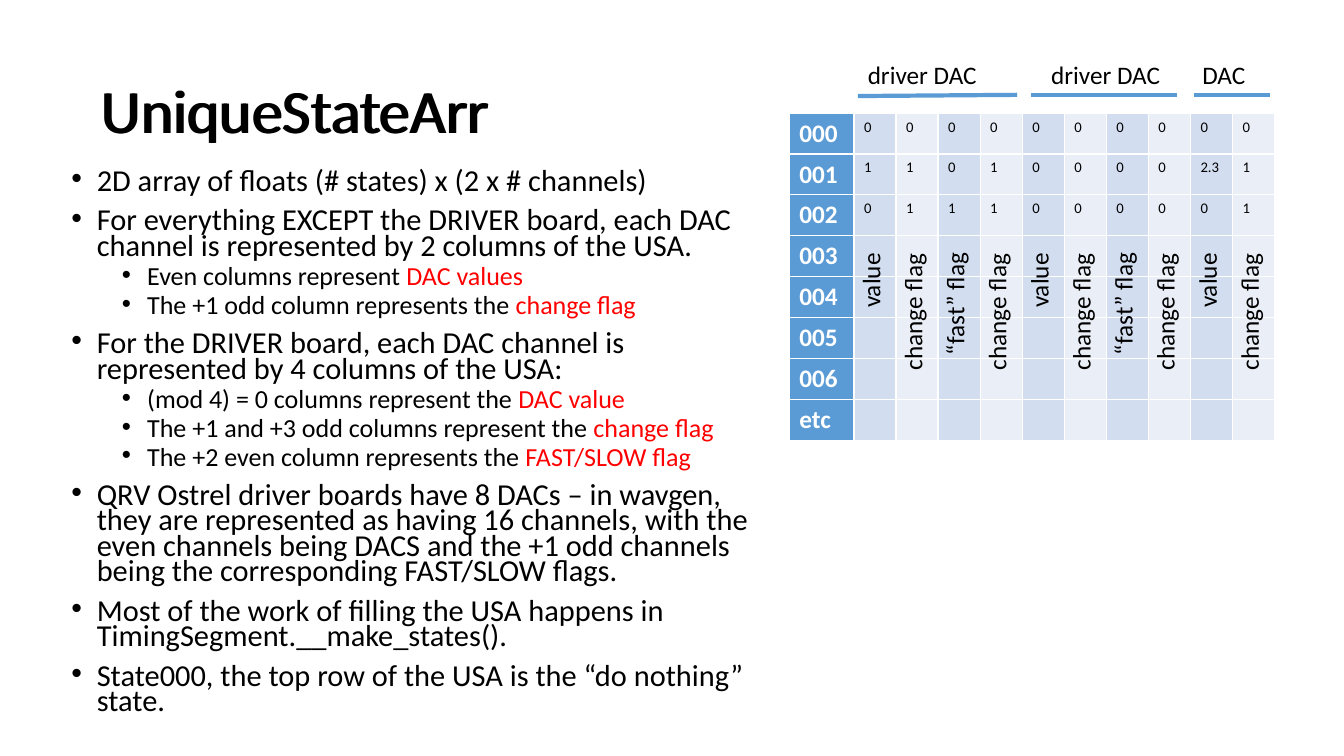
"""Build the UniqueStateArr slide with its bullet list and state table."""
from dataclasses import dataclass
from pptx import Presentation
from pptx.dml.color import RGBColor as RGB
from pptx.enum.shapes import MSO_CONNECTOR as Line
from pptx.enum.text import MSO_ANCHOR as Anchor
from pptx.oxml import parse_xml
from pptx.oxml.ns import nsdecls
from pptx.util import Cm, Pt


@dataclass(frozen=True)
class Theme:
    font: str = "Calibri"
    black: str = "000000"
    red: str = "FF0000"
    white: str = "FFFFFF"
    blue: str = "5B9BD5"
    bands: tuple = ("D2DEEF", "EAEFF7")
    title: float = 44
    levels: tuple = (21.7, 18.6)
    label: float = 18
    value: float = 10.5


theme = Theme()


def add_run(p, text, size, color=theme.black, bold=False):
    r = p.add_run()
    r.text = text
    r.font.name = theme.font
    r.font.size = Pt(size)
    r.font.bold = bold
    r.font.color.rgb = RGB.from_string(color)


def add_box(left, top, width, height, wrap=False):
    sp = s.shapes.add_textbox(Cm(left), Cm(top), Cm(width), Cm(height))
    sp.text_frame.word_wrap = wrap
    return sp


prs = Presentation()
prs.slide_width, prs.slide_height = Cm(33.87), Cm(19.05)
s = prs.slides.add_slide(prs.slide_layouts[6])

for left in (2.34, 2.29):
    tf = add_box(left, 1.01, 29.21, 3.68, wrap=True).text_frame
    tf.vertical_anchor = Anchor.MIDDLE
    p = tf.paragraphs[0]
    p.line_spacing = 0.9
    add_run(p, "UniqueStateArr", theme.title)

bullets = [
    (0, "2D array of floats (# states) x (2 x # channels)", ""),
    (0, "For everything EXCEPT the DRIVER board, each DAC channel is "
        "represented by 2 columns of the USA.", ""),
    (1, "Even columns represent ", "DAC values "),
    (1, "The +1 odd column represents the ", "change flag"),
    (0, "For the DRIVER board, each DAC channel is represented by "
        "4 columns of the USA:", ""),
    (1, "(mod 4) = 0 columns represent the ", "DAC value"),
    (1, "The +1 and +3 odd columns represent the ", "change flag"),
    (1, "The +2 even column represents the ", "FAST/SLOW flag"),
    (0, "QRV Ostrel driver boards have 8 DACs – in wavgen, they are "
        "represented as having 16 channels, with the even channels being "
        "DACS and the +1 odd channels being the corresponding "
        "FAST/SLOW flags.", ""),
    (0, "Most of the work of filling the USA happens in "
        "TimingSegment.__make_states().", ""),
    (0, "State000, the top row of the USA is the “do nothing” state. ", ""),
]
tf = add_box(1.55, 4.18, 17.78, 14.2, wrap=True).text_frame
for i, (level, text, keyword) in enumerate(bullets):
    p = tf.add_paragraph() if i else tf.paragraphs[0]
    p.level = level
    p.line_spacing = 0.7
    p.space_before = Pt(5 if level else 10)
    pPr = p._p.get_or_add_pPr()
    pPr.set("marL", str(Cm(1.91 if level else 0.64)))
    pPr.set("indent", str(Cm(-0.64)))
    pPr.append(parse_xml(f'<a:buFont {nsdecls("a")} typeface="Arial"/>'))
    pPr.append(parse_xml(f'<a:buChar {nsdecls("a")} char="•"/>'))
    add_run(p, text, theme.levels[level])
    if keyword:
        add_run(p, keyword, theme.levels[level], theme.red)

states = ["000", "001", "002", "003", "004", "005", "006", "etc"]
values = [
    ["0"] * 10,
    ["1", "1", "0", "1", "0", "0", "0", "0", "2.3", "1"],
    ["0", "1", "1", "1", "0", "0", "0", "0", "0", "1"],
]
pitch, row_height = 1.06, 1.03
table = s.shapes.add_table(len(states), 11, Cm(19.89), Cm(2.85), Cm(12.23),
                           Cm(row_height * len(states))).table
table.first_row = table.horz_banding = False
for i, column in enumerate(table.columns):
    column.width = Cm(pitch if i else 1.63)
for i, state in enumerate(states):
    table.rows[i].height = Cm(row_height)
    row_values = values[i] if i < len(values) else [""] * 10
    for j, text in enumerate([state] + row_values):
        cell = table.cell(i, j)
        tcPr = cell._tc.get_or_add_tcPr()
        for side in ("lnL", "lnR", "lnT", "lnB"):
            tcPr.append(parse_xml(
                f'<a:{side} {nsdecls("a")} w="{Pt(1)}"><a:solidFill>'
                f'<a:srgbClr val="{theme.white}"/></a:solidFill></a:{side}>'))
        cell.fill.solid()
        cell.fill.fore_color.rgb = RGB.from_string(
            theme.bands[(j - 1) % 2] if j else theme.blue)
        p = cell.text_frame.paragraphs[0]
        if j == 0:
            add_run(p, text, theme.label, theme.white, bold=True)
        elif text:
            add_run(p, text, theme.value)

for text, left, width in (("driver DAC", 21.62, 3.3), ("driver DAC", 26.24, 3.3),
                          ("DAC", 30.05, 1.6)):
    tf = add_box(left, 1.38, width, 1.03).text_frame
    add_run(tf.paragraphs[0], text, theme.label)

lengths = {"value": 1.91, "change flag": 3.48, "“fast” flag": 3.1}
driver = ["value", "change flag", "“fast” flag", "change flag"]
for i, text in enumerate(driver * 2 + driver[:2]):
    length = lengths[text]
    center_x, center_y = 21.94 + i * pitch, 6.1 + length / 2
    sp = add_box(center_x - length / 2, center_y - row_height / 2,
                 length, row_height)
    sp.rotation = 270
    add_run(sp.text_frame.paragraphs[0], text, theme.label)

for x1, y1, x2, y2 in ((21.62, 2.42, 25.63, 2.39), (30.1, 2.4, 32, 2.4),
                       (25.98, 2.4, 29.67, 2.4)):
    rule = s.shapes.add_connector(Line.STRAIGHT, Cm(x1), Cm(y1), Cm(x2), Cm(y2))
    rule.line.color.rgb = RGB.from_string(theme.blue)
    rule.line.width = Pt(3)
    rule._element.spPr.append(parse_xml(f'<a:effectLst {nsdecls("a")}/>'))

prs.save("out.pptx")
